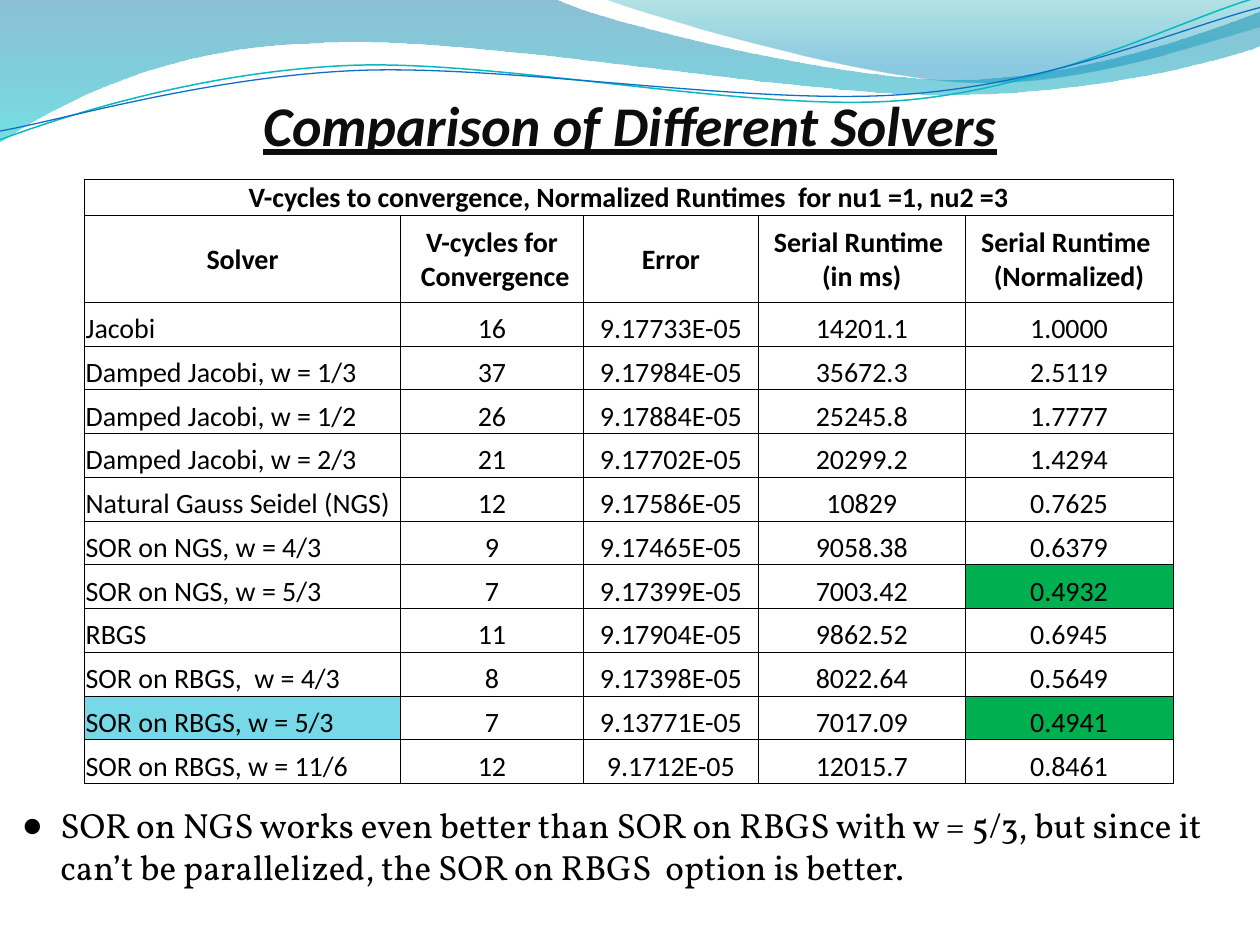
from dataclasses import dataclass
from typing import NamedTuple, Optional

from lxml.etree import SubElement
from pptx import Presentation
from pptx.dml.color import RGBColor
from pptx.enum.text import MSO_ANCHOR, PP_ALIGN
from pptx.oxml.ns import qn
from pptx.util import Emu, Inches, Pt


@dataclass(frozen=True)
class Theme:
    font: str = "Calibri"
    note_font: str = "Vollkorn"
    title_size: float = 32
    table_size: float = 16
    note_size: float = 20
    title_ink: str = "0D0D0D"
    ink: str = "000000"
    best: str = "00B050"
    chosen: str = "77D9E8"
    teal_line: str = "0AB8BF"
    blue_line: str = "0F6FC6"
    border: float = 0.5


class Stop(NamedTuple):
    position: float
    color: str
    opacity: int


class Wave(NamedTuple):
    segments: list
    stops: tuple = ()
    line: Optional[str] = None
    weight: float = 0


class Result(NamedTuple):
    solver: str
    cycles: str
    error: str
    runtime: str
    normalized: str


THEME = Theme()
PAGE_WIDTH, PAGE_HEIGHT = Inches(10), Inches(7.5)
GRID_COLUMNS, GRID_ROWS = 10, 7.5
UNITS = 1000

WAVES = [
    Wave([(0, 0), (4.4, -0.01), (4.76, 0.17, 6.64, 0.63, 7.58, 0.63),
          (8.53, 0.63, 9.58, 0.26, 10, 0.09), (10.01, 0.36),
          (9.83, 0.44, 8.7, 0.76, 7.46, 0.75), (6.22, 0.75, 3.82, 0.28, 2.57, 0.34),
          (1.29, 0.36, 0.46, 0.83, -0.01, 1.13)],
         stops=(Stop(0, "0074A1", 45), Stop(1, "00C6CF", 55))),
    Wave([(4.79, -0.01), (5.09, 0.11, 6.82, 0.62, 7.69, 0.65),
          (8.56, 0.69, 9.61, 0.32, 10, 0.21), (10, 0)],
         stops=(Stop(0, "00A1A9", 30), Stop(0.8, "008BBF", 45))),
    Wave([(0, 1.11), (0.48, 0.93, 1.58, 0.57, 2.77, 0.52),
          (3.95, 0.47, 5.93, 0.89, 7.13, 0.8), (8.33, 0.71, 9.38, 0.15, 9.98, -0.02)],
         line=THEME.teal_line, weight=0.85),
    Wave([(0, 1.04), (0.47, 0.96, 1.64, 0.61, 2.83, 0.56),
          (4.03, 0.51, 5.97, 0.84, 7.17, 0.75), (8.36, 0.67, 9.41, 0.21, 10, 0.06)],
         line=THEME.blue_line, weight=0.75),
]

CAPTION = "V-cycles to convergence, Normalized Runtimes  for nu1 =1, nu2 =3"
HEADINGS = Result("Solver", "V-cycles for\n Convergence", "Error",
                  "Serial Runtime \n(in ms)", "Serial Runtime \n(Normalized)")
RESULTS = [
    Result("Jacobi", "16", "9.17733E-05", "14201.1", "1.0000"),
    Result("Damped Jacobi, w = 1/3", "37", "9.17984E-05", "35672.3", "2.5119"),
    Result("Damped Jacobi, w = 1/2", "26", "9.17884E-05", "25245.8", "1.7777"),
    Result("Damped Jacobi, w = 2/3", "21", "9.17702E-05", "20299.2", "1.4294"),
    Result("Natural Gauss Seidel (NGS)", "12", "9.17586E-05", "10829", "0.7625"),
    Result("SOR on NGS, w = 4/3", "9", "9.17465E-05", "9058.38", "0.6379"),
    Result("SOR on NGS, w = 5/3", "7", "9.17399E-05", "7003.42", "0.4932"),
    Result("RBGS", "11", "9.17904E-05", "9862.52", "0.6945"),
    Result("SOR on RBGS,  w = 4/3", "8", "9.17398E-05", "8022.64", "0.5649"),
    Result("SOR on RBGS, w = 5/3", "7", "9.13771E-05", "7017.09", "0.4941"),
    Result("SOR on RBGS, w = 11/6", "12", "9.1712E-05", "12015.7", "0.8461"),
]
HIGHLIGHTS = {"0.4932": THEME.best, "0.4941": THEME.best,
              "SOR on RBGS, w = 5/3": THEME.chosen}
COLUMN_WIDTHS = (2.51, 1.45, 1.39, 1.64, 1.65)
TABLE_HEIGHT, CAPTION_HEIGHT, HEADING_HEIGHT = 4.8, 0.29, 0.69
NOTE = ("SOR on NGS works even better than SOR on RBGS with w = 5/3, but since it "
        "can’t be parallelized, the SOR on RBGS  option is better.")


def columns(count: float) -> Emu:
    return Emu(round(PAGE_WIDTH * count / GRID_COLUMNS))


def rows(count: float) -> Emu:
    return Emu(round(PAGE_HEIGHT * count / GRID_ROWS))


def place(shape, left: float, top: float, width: float, height: float) -> None:
    shape.left, shape.top = columns(left), rows(top)
    shape.width, shape.height = columns(width), rows(height)


def add_span(para, text: str, size: float, color: str, font: str, bold: bool = False):
    span = para.add_run()
    span.text = text
    span.font.size, span.font.name, span.font.bold = Pt(size), font, bold
    span.font.color.rgb = RGBColor.from_string(color)
    return span


def bend(shape, segments: list) -> None:
    left = min(segment[-2] for segment in segments)
    top = min(segment[-1] for segment in segments)
    edges = list(shape.element.spPr.iter(qn("a:lnTo")))
    for edge, segment in zip(edges, segments[1:]):
        if len(segment) == 2:
            continue
        edge.tag = qn("a:cubicBezTo")
        edge.clear()
        for x, y in zip(segment[::2], segment[1::2]):
            SubElement(edge, qn("a:pt"), x=str(round((x - left) * UNITS)),
                       y=str(round((y - top) * UNITS)))


def add_wave(page, wave: Wave) -> None:
    points = [(segment[-2] * UNITS, segment[-1] * UNITS) for segment in wave.segments]
    builder = page.shapes.build_freeform(*points[0], scale=columns(1) / UNITS)
    builder.add_line_segments(points[1:], close=bool(wave.stops))
    shape = builder.convert_to_shape()
    bend(shape, wave.segments)
    shape.shadow.inherit = False
    if wave.line:
        shape.fill.background()
        shape.line.color.rgb = RGBColor.from_string(wave.line)
        shape.line.width = Pt(wave.weight)
        return
    shape.line.fill.background()
    shape.fill.gradient()
    shape.fill.gradient_angle = 270
    for target, stop in zip(shape.fill.gradient_stops, wave.stops):
        target.position = stop.position
        target.color.rgb = RGBColor.from_string(stop.color)
    for color, stop in zip(shape.element.spPr.iter(qn("a:srgbClr")), wave.stops):
        SubElement(color, qn("a:alpha"), val=str(stop.opacity * 1000))


def format_title(page) -> None:
    title = page.shapes.title
    place(title, 0, 0, 10, 1.25)
    frame = title.text_frame
    frame.vertical_anchor = MSO_ANCHOR.BOTTOM
    frame.margin_left = frame.margin_right = frame.margin_bottom = 0
    para = frame.paragraphs[0]
    para.alignment = PP_ALIGN.CENTER
    span = add_span(para, "Comparison of Different Solvers", THEME.title_size,
                    THEME.title_ink, THEME.font, bold=True)
    span.font.italic = span.font.underline = True
    page.shapes.element.append(title.element)


def draw_borders(cell) -> None:
    properties = cell._tc.get_or_add_tcPr()
    for index, side in enumerate(("a:lnL", "a:lnR", "a:lnT", "a:lnB")):
        line = properties.makeelement(qn(side), {"w": str(Pt(THEME.border))})
        fill = SubElement(line, qn("a:solidFill"))
        SubElement(fill, qn("a:srgbClr"), val=THEME.ink)
        properties.insert(index, line)


def fill_cell(cell, text: str, heading: bool, centered: bool) -> None:
    cell.margin_left = cell.margin_right = cell.margin_top = Inches(0.01)
    cell.margin_bottom = 0
    cell.vertical_anchor = MSO_ANCHOR.MIDDLE if heading else MSO_ANCHOR.BOTTOM
    if text in HIGHLIGHTS:
        cell.fill.solid()
        cell.fill.fore_color.rgb = RGBColor.from_string(HIGHLIGHTS[text])
    else:
        cell.fill.background()
    para = cell.text_frame.paragraphs[0]
    para.alignment = PP_ALIGN.CENTER if centered else PP_ALIGN.LEFT
    for index, line in enumerate(text.splitlines()):
        if index:
            para.add_line_break()
        add_span(para, line, THEME.table_size, THEME.ink, THEME.font, heading)
    draw_borders(cell)


def add_results(page) -> None:
    records = [(CAPTION, "", "", "", ""), HEADINGS, *RESULTS]
    frame = page.shapes.add_table(len(records), len(COLUMN_WIDTHS), columns(0.67), rows(1.42),
                                  columns(sum(COLUMN_WIDTHS)), rows(TABLE_HEIGHT))
    table = frame.table
    table.first_row = table.horz_banding = False
    for column, width in zip(table.columns, COLUMN_WIDTHS):
        column.width = columns(width)
    result_height = (TABLE_HEIGHT - CAPTION_HEIGHT - HEADING_HEIGHT) / len(RESULTS)
    heights = [CAPTION_HEIGHT, HEADING_HEIGHT] + [result_height] * len(RESULTS)
    for row_index, (record, height) in enumerate(zip(records, heights)):
        table.rows[row_index].height = rows(height)
        heading = row_index < 2
        for column_index, text in enumerate(record):
            fill_cell(table.cell(row_index, column_index), text, heading,
                      heading or column_index > 0)
    table.cell(0, 0).merge(table.cell(0, len(COLUMN_WIDTHS) - 1))


def add_note(page) -> None:
    box = page.shapes.add_textbox(columns(0.08), rows(6.33), columns(9.75), rows(0.83))
    box.text_frame.word_wrap = True
    para = box.text_frame.paragraphs[0]
    para.space_before = Pt(THEME.note_size * 0.2)
    add_span(para, NOTE, THEME.note_size, THEME.ink, THEME.note_font)
    properties = para._p.get_or_add_pPr()
    properties.set("marL", str(columns(0.3)))
    properties.set("indent", str(-columns(0.3)))
    color = SubElement(properties, qn("a:buClr"))
    SubElement(color, qn("a:srgbClr"), val=THEME.ink)
    SubElement(properties, qn("a:buSzPct"), val="95000")
    SubElement(properties, qn("a:buFont"), typeface=THEME.font)
    SubElement(properties, qn("a:buChar"), char="●")


def main() -> None:
    deck = Presentation()
    deck.slide_width, deck.slide_height = PAGE_WIDTH, PAGE_HEIGHT
    page = deck.slides.add_slide(deck.slide_layouts[5])
    for wave in WAVES:
        add_wave(page, wave)
    format_title(page)
    add_results(page)
    add_note(page)
    deck.save("out.pptx")


if __name__ == "__main__":
    main()
